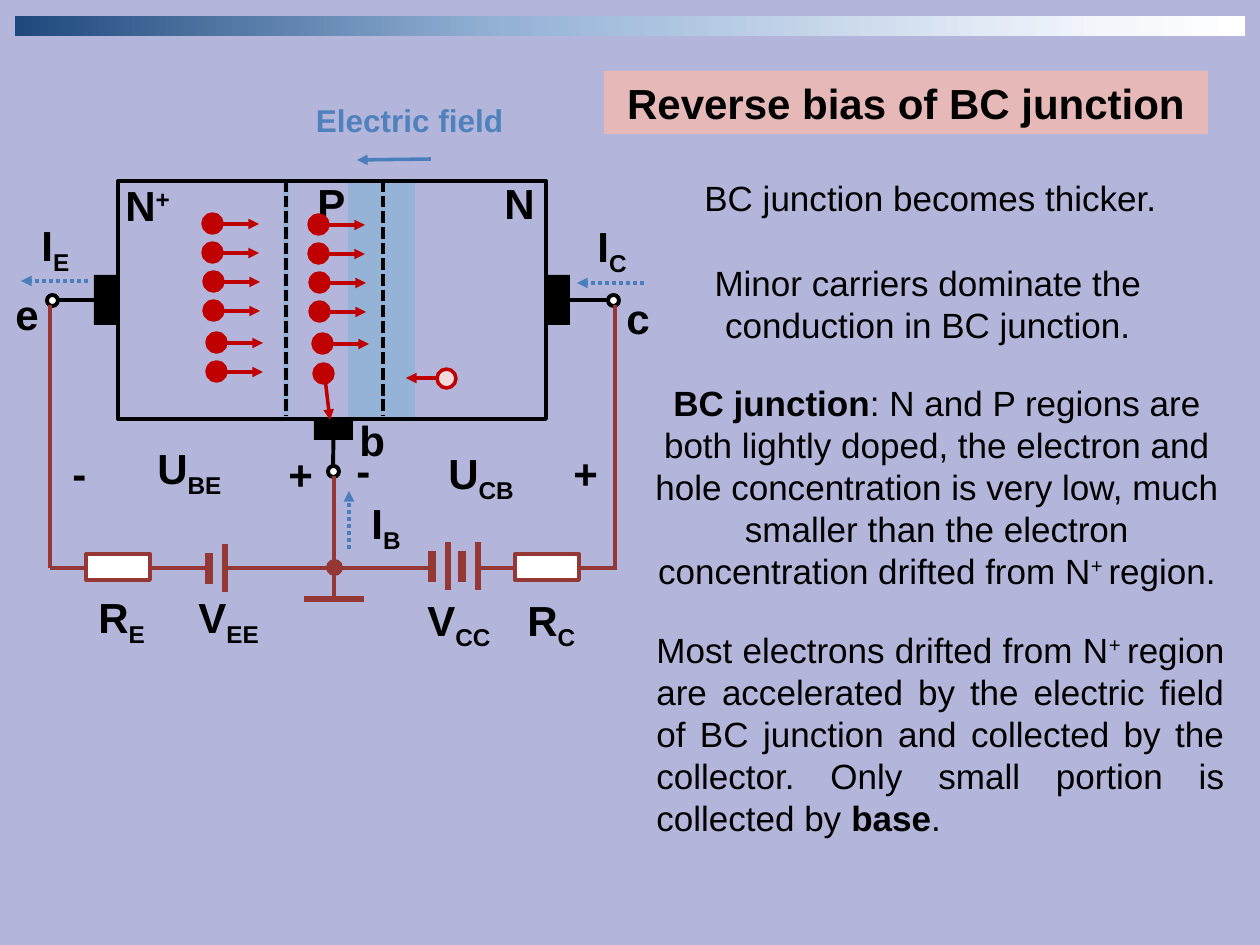
from lxml.etree import SubElement
from pptx import Presentation
from pptx.dml.color import RGBColor
from pptx.enum.dml import MSO_LINE
from pptx.enum.shapes import MSO_CONNECTOR, MSO_SHAPE
from pptx.enum.text import MSO_AUTO_SIZE, PP_ALIGN
from pptx.oxml.ns import qn
from pptx.util import Emu, Pt

PX = 914400 / 126
FONT = "Arial"
SUB, SUPER = -25000, 30000

BLACK = RGBColor(0x00, 0x00, 0x00)
WHITE = RGBColor(0xFF, 0xFF, 0xFF)
LAVENDER = RGBColor(0xB3, 0xB6, 0xDA)
DEPLETION = RGBColor(0x95, 0xB3, 0xD7)
FIELD = RGBColor(0x4F, 0x81, 0xBD)
ARROW = RGBColor(0x4B, 0x7E, 0xBC)
WIRE = RGBColor(0x95, 0x37, 0x35)
ELECTRON = RGBColor(0xC0, 0x00, 0x00)
HOLE = RGBColor(0xF2, 0xDC, 0xDB)
TITLE_FILL = RGBColor(0xE6, 0xB9, 0xB8)
BAR_STOPS = [(0, "1F497D"), (40, "95B3D7"), (89, "F4F7FC"), (100, "FFFFFF")]


def px(n):
    return Emu(round(n * PX))


def add_shape(s, x, y, w, h, fill=None, line=None, width=2.25, kind=MSO_SHAPE.RECTANGLE):
    sp = s.shapes.add_shape(kind, px(x), px(y), px(w), px(h))
    sp.shadow.inherit = False
    if fill is None:
        sp.fill.background()
    else:
        sp.fill.solid()
        sp.fill.fore_color.rgb = fill
    if line is None:
        sp.line.fill.background()
    else:
        sp.line.color.rgb = line
        sp.line.width = Pt(width)
    return sp


def add_dot(s, x, y, size, fill, line=None, width=2.25):
    return add_shape(s, x, y, size, size, fill, line, width, MSO_SHAPE.OVAL)


def add_line(s, x1, y1, x2, y2, color, width=2.25, dash=None, arrow=False):
    c = s.shapes.add_connector(MSO_CONNECTOR.STRAIGHT, px(x1), px(y1), px(x2), px(y2))
    c.line.color.rgb = color
    c.line.width = Pt(width)
    if dash:
        c.line.dash_style = dash
    spPr = c._element.spPr
    if arrow:
        SubElement(spPr.find(qn("a:ln")), qn("a:tailEnd"), type="triangle")
    SubElement(spPr, qn("a:effectLst"))
    return c


def write(sp, runs, size, align=PP_ALIGN.LEFT, color=BLACK):
    """Each run is (text, bold, baseline)."""
    tf = sp.text_frame
    tf.word_wrap = True
    tf.auto_size = MSO_AUTO_SIZE.SHAPE_TO_FIT_TEXT
    p = tf.paragraphs[0]
    p.alignment = align
    for text, bold, baseline in runs:
        r = p.add_run()
        r.text = text
        r.font.name, r.font.size, r.font.bold = FONT, Pt(size), bold
        r.font.color.rgb = color
        if baseline:
            r._r.get_or_add_rPr().set("baseline", str(baseline))


def add_text(s, x, y, w, h, runs, size, align=PP_ALIGN.LEFT, color=BLACK):
    write(s.shapes.add_textbox(px(x), px(y), px(w), px(h)), runs, size, align, color)


def add_label(s, x, y, w, text, small="", baseline=SUB, align=PP_ALIGN.LEFT):
    runs = [(text, True, 0)] + ([(small, True, baseline)] if small else [])
    add_text(s, x, y, w, 74 if small else 63, runs, 24, align)


def add_top_bar(s, x, y, w, h):
    sp = add_shape(s, x, y, w, h)
    sp.fill.gradient()
    sp.fill.gradient_angle = 0
    stops = sp._element.spPr.find(qn("a:gradFill")).find(qn("a:gsLst"))
    for gs in list(stops):
        stops.remove(gs)
    for pos, color in BAR_STOPS:
        gs = SubElement(stops, qn("a:gs"), pos=str(pos * 1000))
        SubElement(gs, qn("a:srgbClr"), val=color)


def add_transistor(s, x, y, w, h):
    # Depletion regions and body
    add_shape(s, x + 230, y, 67, h, DEPLETION)
    add_shape(s, x + 165, y + 1, 6, h, DEPLETION)
    add_shape(s, x, y, w, h, line=BLACK)
    for dx in (168, 265):
        add_line(s, x + dx, y - 1, x + dx, y + 235, BLACK, dash=MSO_LINE.SQUARE_DOT)
    # Contacts with lead and terminal: box, side, lead end, terminal corner
    for cx, cy, cw, ch, side, end, corner in [
        (-24, 94, 24, 50, 1, (-60, 119), (-71, 114)),
        (w, 94, 24, 50, 3, (490, 119), (490, 114)),
        (196, h + 1, 39, 20, 2, (215, 289), (210, 285)),
    ]:
        contact = add_shape(s, x + cx, y + cy, cw, ch, BLACK)
        lead = add_line(s, x + cx, y + cy, x + end[0], y + end[1], BLACK)
        lead.begin_connect(contact, side)
        add_dot(s, x + corner[0], y + corner[1], 11, WHITE, BLACK)
    # Region and terminal names
    add_label(s, x - 11, y - 8, 81, "N", "+", SUPER, PP_ALIGN.CENTER)
    for dx, name in ((179, "P"), (367, "N")):
        add_label(s, x + dx, y - 10, 69, name, align=PP_ALIGN.CENTER)
    for dx, dy, name in ((-115, 101, "e"), (496, 105, "c"), (229, 227, "b")):
        add_label(s, x + dx, y + dy, 52, name)
    # Emitter and collector currents
    for dx, dy, name in ((-89, 32, "E"), (467, 33, "C")):
        add_label(s, x + dx, y + dy, 100, "I", name)
    for dx, dy in ((-30, 100), (526, 102)):
        add_line(s, x + dx, y + dy, x + dx - 67, y + dy, ARROW, 2, MSO_LINE.ROUND_DOT, True)


def add_cell(s, x, y):
    add_line(s, x + 16, y, x + 16, y + 48, WIRE, 3)
    add_line(s, x, y + 9, x, y + 40, WIRE, 4.5)


def add_circuit(s, x, y, w, h):
    # Wires
    for x1, y1, x2, y2 in [
        (0, h, 0, 0), (w, h, w, 0), (159, h, 0, h), (284, 294, 284, 171),
        (378, h, 177, h), (w + 2, h, 429, h),
    ]:
        add_line(s, x + x1, y + y1, x + x2, y + y2, WIRE)
    # Batteries, resistors, ground and node
    for dx, dy in ((159, 239), (382, 237), (412, 237)):
        add_cell(s, x + dx, y + dy)
    for dx in (36, 465):
        add_shape(s, x + dx, y + 249, 64, 26, WHITE, WIRE)
    add_line(s, x + 254, y + 294, x + 314, y + 294, WIRE, 3)
    add_dot(s, x + 276, y + 254, 17, WIRE)
    # Base current
    add_line(s, x + 299, y + 244, x + 299, y + 186, ARROW, 2, MSO_LINE.ROUND_DOT, True)
    add_label(s, x + 309, y + 186, 69, "I", "B")
    # Part and voltage names
    for dx, dy, name, small in [
        (365, 283, "V", "CC"), (465, 283, "R", "C"), (136, 280, "V", "EE"),
        (36, 280, "R", "E"), (95, 131, "U", "BE"), (386, 136, "U", "CB"),
    ]:
        add_label(s, x + dx, y + dy, 100, name, small)
    for dx, dy, sign in ((226, 137, "+"), (10, 136, "-"), (511, 136, "+"), (294, 133, "-")):
        add_label(s, x + dx, y + dy, 60, sign)


def add_electrons(s, x, y, count):
    steps = [(0, 0), (0, 29), (1, 58), (1, 87), (4, 119), (4, 148)]
    for dx, dy in steps[:count]:
        cx, cy = x + dx, y + dy
        add_dot(s, cx, cy, 19, ELECTRON, ELECTRON, 2)
        add_line(s, cx + 19, cy + 10, cx + 56, cy + 10, ELECTRON, 2, arrow=True)


def add_carriers(s, x, y):
    add_electrons(s, x, y, 6)
    add_electrons(s, x + 106, y + 1, 5)
    # Electron leaving through the base
    add_dot(s, x + 111, y + 150, 19, ELECTRON, ELECTRON, 2)
    add_line(s, x + 122, y + 164, x + 127, y + 206, ELECTRON, 2, arrow=True)
    # Hole from the collector
    add_line(s, x + 239, y + 164, x + 203, y + 164, ELECTRON, 2, arrow=True)
    add_dot(s, x + 234, y + 155, 19, HOLE, ELECTRON, 2)


def add_field(s, x, y, w, h):
    add_text(s, x, y, w, h, [("Electric field", True, 0)], 18, PP_ALIGN.CENTER, FIELD)
    add_line(s, x + 232, y + 64, x + 158, y + 65, ARROW, 2, arrow=True)


def add_explanation(s, x, y):
    for dx, dy, w, h, align, runs in [
        (53, 0, 505, 55, PP_ALIGN.JUSTIFY, [("BC junction becomes thicker.", False, 0)]),
        (24, 85, 530, 97, PP_ALIGN.CENTER,
         [("Minor carriers dominate the conduction in BC junction.", False, 0)]),
        (0, 205, 596, 270, PP_ALIGN.CENTER,
         [("BC junction", True, 0),
          (": N and P regions are both lightly doped, the electron and hole concentration is "
           "very low, much smaller than the electron concentration drifted from N", False, 0),
          ("+ ", False, SUPER), ("region.", False, 0)]),
        (5, 452, 593, 224, PP_ALIGN.JUSTIFY,
         [("Most electrons drifted from N", False, 0), ("+ ", False, SUPER),
          ("region are accelerated by the electric field of BC junction and collected by "
           "the collector. Only small portion is collected by ", False, 0),
          ("base", True, 0), (".", False, 0)]),
    ]:
        add_text(s, x + dx, y + dy, w, h, runs, 20, align)


def main():
    prs = Presentation()
    prs.slide_width, prs.slide_height = px(1260), px(945)
    s = prs.slides.add_slide(prs.slide_layouts[6])
    s.background.fill.solid()
    s.background.fill.fore_color.rgb = LAVENDER

    add_top_bar(s, 15, 16, 1230, 20)
    add_transistor(s, 118, 181, 428, 238)
    add_circuit(s, 50, 305, 565, 263)
    title = add_shape(s, 604, 71, 604, 63, TITLE_FILL)
    write(title, [("Reverse bias of BC junction", True, 0)], 24, PP_ALIGN.CENTER)
    add_carriers(s, 203, 214)
    add_field(s, 199, 95, 421, 50)
    add_explanation(s, 639, 170)
    prs.save("out.pptx")


if __name__ == "__main__":
    main()
